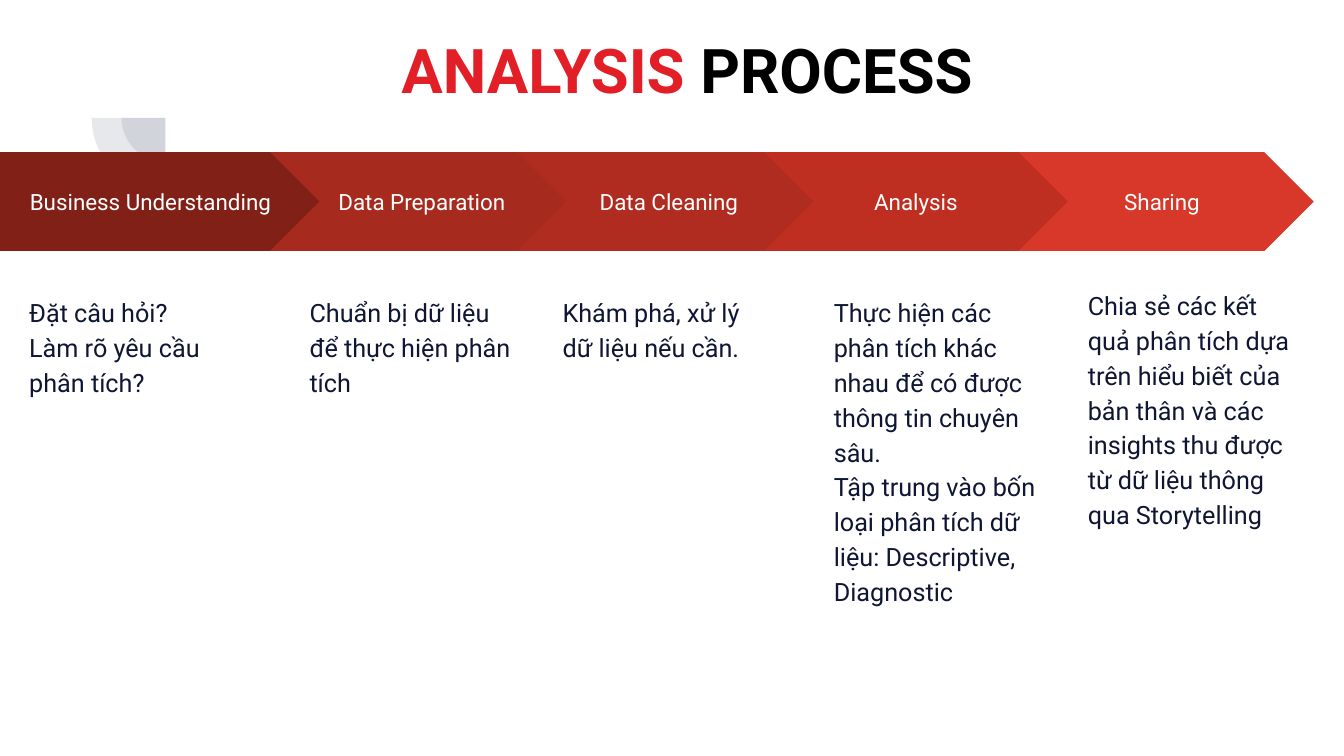
from dataclasses import dataclass
from lxml import etree
from pptx import Presentation
from pptx.dml.color import RGBColor
from pptx.enum import shapes, text
from pptx.oxml.ns import qn
from pptx.util import Inches, Pt


@dataclass(frozen=True)
class Theme:
    font: str = "Roboto"
    accent: str = "E21F26"
    black: str = "000000"
    white: str = "FFFFFF"
    body: str = "0E1633"
    ornament: str = "44546A"
    ornament_alpha: int = 13
    title_size: int = 44
    label_size: int = 16
    body_size: int = 18


THEME = Theme()
HOME, CHEVRON = shapes.MSO_SHAPE.PENTAGON, shapes.MSO_SHAPE.CHEVRON
ARROW_TOP, ARROW_HEIGHT = 1.51, 0.98
NOTE_WIDTH = 2.37

STEPS = [
    ("Business Understanding", HOME, "802017", (0, 3.23), (0.16, 2.78, 3.43),
     ["Đặt câu hỏi?", "Làm rõ yêu cầu phân tích?"]),
    ("Data Preparation", CHEVRON, "A72A1E", (2.68, 3.01), (2.94, 2.78, 3.43),
     ["Chuẩn bị dữ liệu để thực hiện phân tích"]),
    ("Data Cleaning", CHEVRON, "B02C20", (5.13, 3.01), (5.45, 2.78, 3.43),
     ["Khám phá, xử lý dữ liệu nếu cần."]),
    ("Sharing", CHEVRON, "D83829", (10.02, 3.01), (10.66, 2.71, 3.43),
     ["Chia sẻ các kết quả phân tích dựa trên hiểu biết của bản thân "
      "và các insights thu được từ dữ liệu thông qua Storytelling"]),
    ("Analysis", CHEVRON, "BE2F22", (7.58, 3.01), (8.14, 2.78, 4.04),
     ["Thực hiện các phân tích khác nhau để có được thông tin chuyên sâu.",
      "Tập trung vào bốn loại phân tích dữ liệu: Descriptive, Diagnostic"]),
]


def box(left, top, width, height):
    return [Inches(v) for v in (left, top, width, height)]


def add_filled(s, kind, bounds, color):
    sp = s.shapes.add_shape(kind, *box(*bounds))
    sp.shadow.inherit = False
    sp.fill.solid()
    sp.fill.fore_color.rgb = RGBColor.from_string(color)
    sp.line.fill.background()
    return sp


def set_frame(sp, anchor, inset_x, inset_y):
    tf = sp.text_frame
    tf.word_wrap = True
    tf.vertical_anchor = anchor
    tf.margin_left = tf.margin_right = Inches(inset_x)
    tf.margin_top = tf.margin_bottom = Inches(inset_y)
    return tf


def style(p, size, align, color=None, spacing=None):
    p.alignment = align
    p.line_spacing = spacing
    p.font.name = THEME.font
    p.font.size = Pt(size)
    if color:
        p.font.color.rgb = RGBColor.from_string(color)


def add_ornament(s, center_x, center_y, radii):
    for radius in radii:
        bounds = (center_x - radius, center_y - radius, 2 * radius, 2 * radius)
        sp = add_filled(s, shapes.MSO_SHAPE.PIE, bounds, THEME.ornament)
        sp.rotation = 270
        sp.adjustments[0], sp.adjustments[1] = 108, 162
        color = sp.fill._xPr.find(qn("a:solidFill"))[0]
        alpha = etree.SubElement(color, qn("a:alpha"))
        alpha.set("val", str(THEME.ornament_alpha * 1000))


def add_title(s, bounds):
    sp = s.shapes.add_textbox(*box(*bounds))
    tf = set_frame(sp, text.MSO_ANCHOR.MIDDLE, 0.1, 0.05)
    p = tf.paragraphs[0]
    style(p, THEME.title_size, text.PP_ALIGN.CENTER, spacing=0.9)
    p.font.bold = True
    for words, color in (("ANALYSIS", THEME.accent), (" PROCESS", THEME.black)):
        r = p.add_run()
        r.text = words
        r.font.color.rgb = RGBColor.from_string(color)


def add_arrow(s, bounds, kind, color, label):
    sp = add_filled(s, kind, bounds, color)
    sp.adjustments[0] = 0.5
    tf = set_frame(sp, text.MSO_ANCHOR.MIDDLE, 0.13, 0.13)
    tf.text = label
    style(tf.paragraphs[0], THEME.label_size, text.PP_ALIGN.CENTER, THEME.white)


def add_note(s, bounds, lines):
    sp = s.shapes.add_textbox(*box(*bounds))
    tf = set_frame(sp, text.MSO_ANCHOR.TOP, 0.13, 0.13)
    tf.text = "\n".join(lines)
    for p in tf.paragraphs:
        style(p, THEME.body_size, text.PP_ALIGN.LEFT, THEME.body, 1.15)


def main():
    prs = Presentation()
    prs.slide_width, prs.slide_height = Inches(13.33), Inches(7.5)
    s = prs.slides.add_slide(prs.slide_layouts[6])
    add_ornament(s, 1.64, 1.17, (0.435, 0.73))
    add_title(s, (1.69, 0.3, 10.25, 0.86))
    for label, kind, color, (left, width), (note_left, note_top, note_height), lines in STEPS:
        add_arrow(s, (left, ARROW_TOP, width, ARROW_HEIGHT), kind, color, label)
        add_note(s, (note_left, note_top, NOTE_WIDTH, note_height), lines)
    prs.save("out.pptx")


if __name__ == "__main__":
    main()
